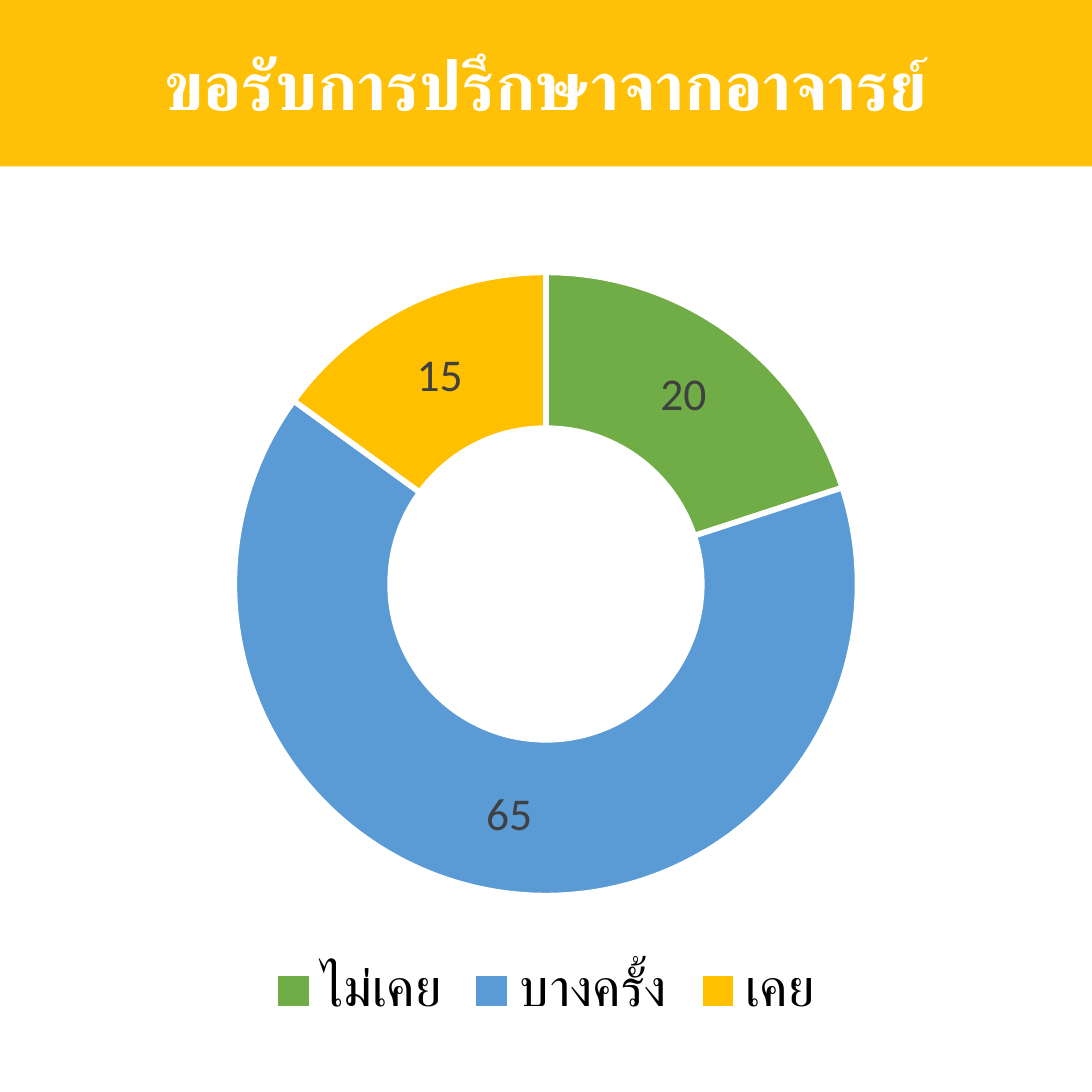
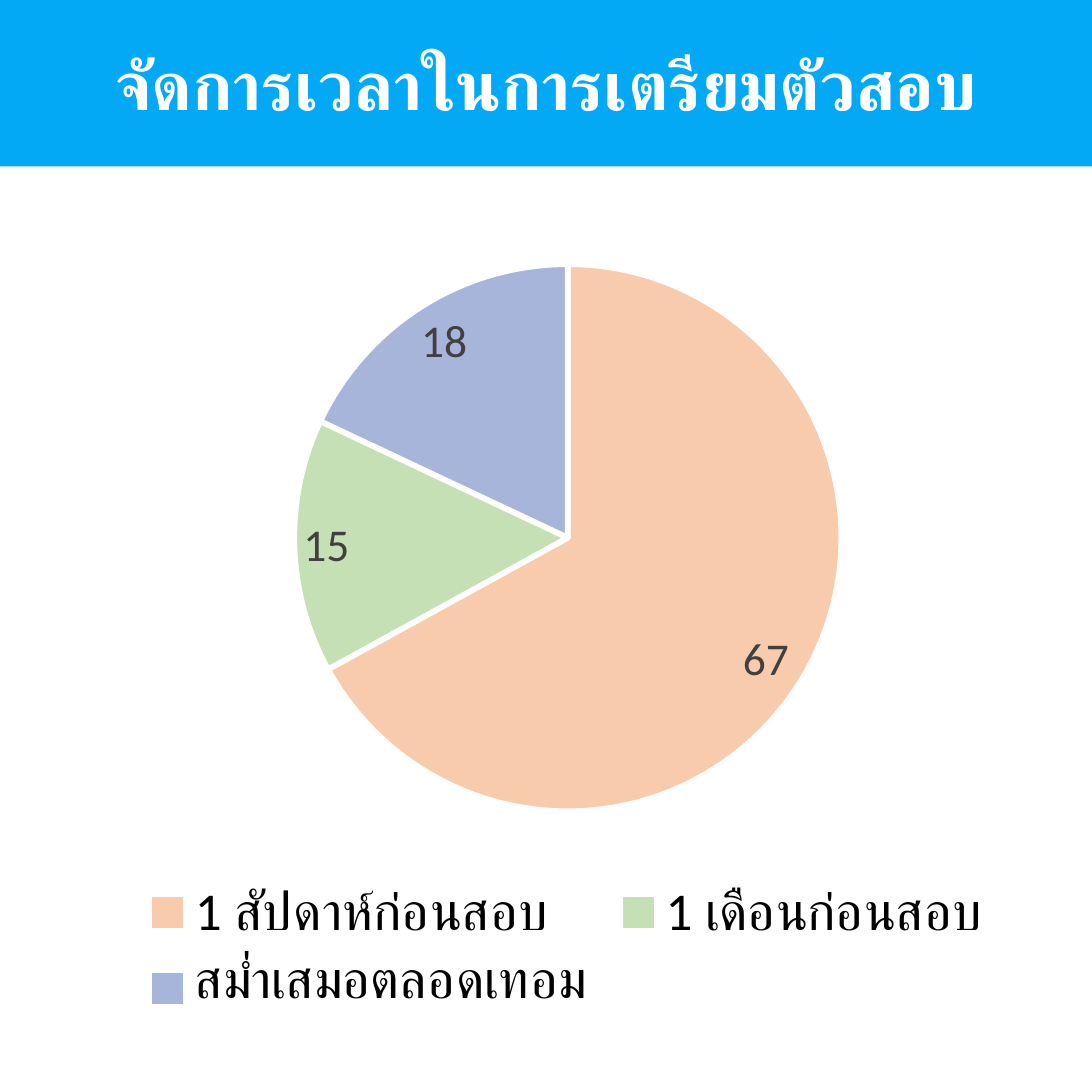
"""Build two square survey slides, each with a title band and a chart."""
from pptx import Presentation
from pptx import util as u
from pptx.chart import data
from pptx.dml import color
from pptx.enum import chart as charts, shapes, text

FONT = "Calibri"
SLICE_GAP = u.Pt(1.5)
SURVEYS = [
    {
        "title": "ขอรับการปรึกษาจากอาจารย์",
        "band": "FFC107",
        "kind": charts.XL_CHART_TYPE.DOUGHNUT,
        "frame": (0, 0.86, 4, 2.91),
        "slices": [("ไม่เคย", 20, "70AD47"), ("บางครั้ง", 65, "5B9BD5"), ("เคย", 15, "FFC000")],
        "hole": 75,
    },
    {
        "title": "จัดการเวลาในการเตรียมตัวสอบ",
        "band": "03A9F4",
        "kind": charts.XL_CHART_TYPE.PIE,
        "frame": (0.29, 0.83, 3.58, 2.91),
        "slices": [
            ("1 สัปดาห์ก่อนสอบ", 67, "F8CBAD"),
            ("1 เดือนก่อนสอบ", 15, "C5E0B4"),
            ("สม่ำเสมอตลอดเทอม", 18, "A8B5DB"),
        ],
        "label_position": charts.XL_LABEL_POSITION.BEST_FIT,
    },
]


def paint(fill, value):
    fill.solid()
    fill.fore_color.rgb = color.RGBColor.from_string(value)


def style(font, size, value, bold=False):
    for name, setting in {"name": FONT, "size": u.Pt(size), "bold": bold}.items():
        setattr(font, name, setting)
    paint(font.fill, value)


deck = Presentation()
deck.slide_width = deck.slide_height = u.Inches(4)

for survey in SURVEYS:
    page = deck.slides.add_slide(deck.slide_layouts[6])

    band = page.shapes.add_shape(
        shapes.MSO_SHAPE.RECTANGLE, 0, 0, deck.slide_width, u.Inches(0.61)
    )
    band.shadow.inherit = False
    paint(band.fill, survey["band"])
    band.line.fill.background()
    band.text_frame.word_wrap = True
    band.text_frame.vertical_anchor = text.MSO_ANCHOR.MIDDLE
    para = band.text_frame.paragraphs[0]
    para.alignment = text.PP_ALIGN.CENTER
    span = para.add_run()
    span.text = survey["title"]
    style(span.font, 18, "FFFFFF", bold=True)

    names, values, colours = zip(*survey["slices"])
    answers = data.CategoryChartData()
    answers.categories = names
    answers.add_series("Series 1", values)
    frame = map(u.Inches, survey["frame"])
    chart = page.shapes.add_chart(survey["kind"], *frame, answers).chart
    style(chart.font, 10, "000000")
    chart.has_title = False
    chart.has_legend = True
    chart.legend.position = charts.XL_LEGEND_POSITION.BOTTOM
    chart.legend.include_in_layout = False
    style(chart.legend.font, 14, "000000")

    plot = chart.plots[0]
    plot.vary_by_categories = True
    for index, colour in enumerate(colours):
        wedge = plot.series[0].points[index].format
        paint(wedge.fill, colour)
        paint(wedge.line.fill, "FFFFFF")
        wedge.line.width = SLICE_GAP

    labels = plot.series[0].data_labels
    labels.show_value = True
    labels.show_percentage = False
    style(labels.font, 12, "404040")
    if "label_position" in survey:
        labels.position = survey["label_position"]
    if "hole" in survey:
        for hole in chart.element.xpath(".//c:holeSize"):
            hole.set("val", str(survey["hole"]))

deck.save("out.pptx")
